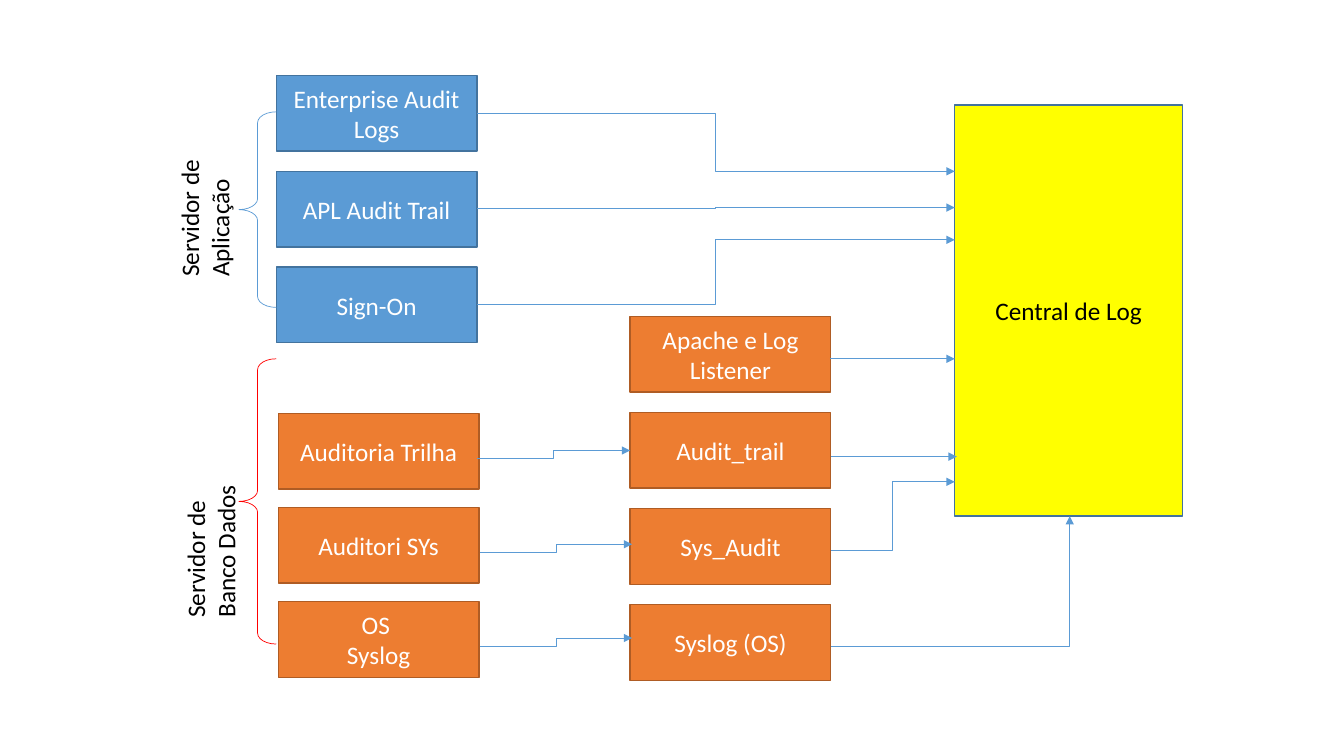
from dataclasses import dataclass

from lxml import etree
from pptx import Presentation
from pptx.dml.color import RGBColor
from pptx.enum import shapes, text
from pptx.oxml import ns
from pptx.util import Inches, Pt

HUES = {"blue": "5B9BD5", "navy": "43739E", "orange": "ED7D31", "rust": "AF5C24",
        "yellow": "FFFF00", "red": "FF0000", "white": "FFFFFF", "black": "000000"}
FONT = {"name": "Calibri", "size": Pt(18)}
KIND = shapes.MSO_SHAPE
LINK = shapes.MSO_CONNECTOR
WIDE, HIGH = 1.99, 0.75


@dataclass
class Stack:
    left: float
    top: float
    step: float
    fill: str
    edge: str
    names: list[str]


@dataclass
class Group:
    name: str
    left: float
    top: float
    brace: float
    tall: float
    hue: str


@dataclass
class Arrow:
    x1: float
    y1: float
    x2: float
    y2: float
    corner: bool = False


STACKS = [
    Stack(2.74, 0.75, 0.95, "blue", "navy",
          ["Enterprise Audit Logs", "APL Audit Trail", "Sign-On"]),
    Stack(2.76, 4.1, 0.935, "orange", "rust",
          ["Auditoria Trilha", "Auditori SYs", "OS \nSyslog"]),
    Stack(6.25, 3.14, 0.953, "orange", "rust",
          ["Apache e Log Listener", "Audit_trail", "Sys_Audit", "Syslog (OS)"]),
]
GROUPS = [
    Group("Servidor de Aplicação", 1.27, 1.73, 1.11, 1.94, "blue"),
    Group("Servidor de Banco Dados", 1.33, 5.11, 3.56, 2.83, "red"),
]
ARROWS = [
    Arrow(4.73, 4.55, 6.25, 4.47),
    Arrow(4.76, 5.48, 6.27, 5.4),
    Arrow(4.76, 6.41, 6.27, 6.33),
    Arrow(4.73, 1.13, 9.47, 1.7),
    Arrow(4.73, 2.07, 9.47, 2.06),
    Arrow(4.73, 3.02, 9.47, 2.38),
    Arrow(8.23, 3.56, 9.47, 3.56),
    Arrow(8.24, 4.53, 9.49, 4.53),
    Arrow(8.24, 5.46, 9.47, 4.78),
    Arrow(8.24, 6.41, 10.61, 5.12, corner=True),
]


def color(name: str) -> RGBColor:
    return RGBColor.from_string(HUES[name])


def stroke(item, hue: str, width: float) -> None:
    item.line.color.rgb = color(hue)
    item.line.width = Pt(width)


def write(frame, words: str, hue: str, align) -> None:
    frame.word_wrap = True
    frame.text = words
    for para in frame.paragraphs:
        para.alignment = align
        for run in para.runs:
            for key, value in FONT.items():
                setattr(run.font, key, value)
            run.font.color.rgb = color(hue)


def draw_box(slide, area: tuple, words: str, fill: str, edge: str, ink: str) -> None:
    box = slide.shapes.add_shape(KIND.RECTANGLE, *map(Inches, area))
    box.shadow.inherit = False
    box.fill.solid()
    box.fill.fore_color.rgb = color(fill)
    stroke(box, edge, 1)
    box.text_frame.vertical_anchor = text.MSO_ANCHOR.MIDDLE
    write(box.text_frame, words, ink, text.PP_ALIGN.CENTER)


def draw_stack(slide, stack: Stack) -> None:
    for i, name in enumerate(stack.names):
        area = (stack.left, stack.top + i * stack.step, WIDE, HIGH)
        draw_box(slide, area, name, stack.fill, stack.edge, "white")


def draw_group(slide, group: Group) -> None:
    """Draw a brace and its upright label."""
    area = (2.37, group.brace, 0.37, group.tall)
    brace = slide.shapes.add_shape(KIND.LEFT_BRACE, *map(Inches, area))
    brace.shadow.inherit = False
    brace.fill.background()
    stroke(brace, group.hue, 0.5)
    brace.adjustments[0] = 0.292
    area = (group.left, group.top, 1.52, 0.71)
    label = slide.shapes.add_textbox(*map(Inches, area))
    label.rotation = 270
    write(label.text_frame, group.name, "black", text.PP_ALIGN.LEFT)


def draw_arrow(slide, arrow: Arrow) -> None:
    kind = LINK.STRAIGHT if arrow.y1 == arrow.y2 else LINK.ELBOW
    ends = (arrow.x1, arrow.y1, arrow.x2, arrow.y2)
    link = slide.shapes.add_connector(kind, *map(Inches, ends))
    stroke(link, "blue", 0.5)
    props = link._element.spPr
    if arrow.corner:
        props.find(ns.qn("a:prstGeom")).set("prst", "bentConnector2")
    tail = etree.SubElement(props.find(ns.qn("a:ln")), ns.qn("a:tailEnd"))
    tail.set("type", "triangle")
    etree.SubElement(props, ns.qn("a:effectLst"))


def main() -> None:
    deck = Presentation()
    deck.slide_width, deck.slide_height = Inches(13.33), Inches(7.5)
    slide = deck.slides.add_slide(deck.slide_layouts[6])
    for stack in STACKS:
        draw_stack(slide, stack)
    for group in GROUPS:
        draw_group(slide, group)
    draw_box(slide, (9.47, 1.04, 2.26, 4.08), "Central de Log", "yellow", "navy", "black")
    for arrow in ARROWS:
        draw_arrow(slide, arrow)
    deck.save("out.pptx")


if __name__ == "__main__":
    main()
